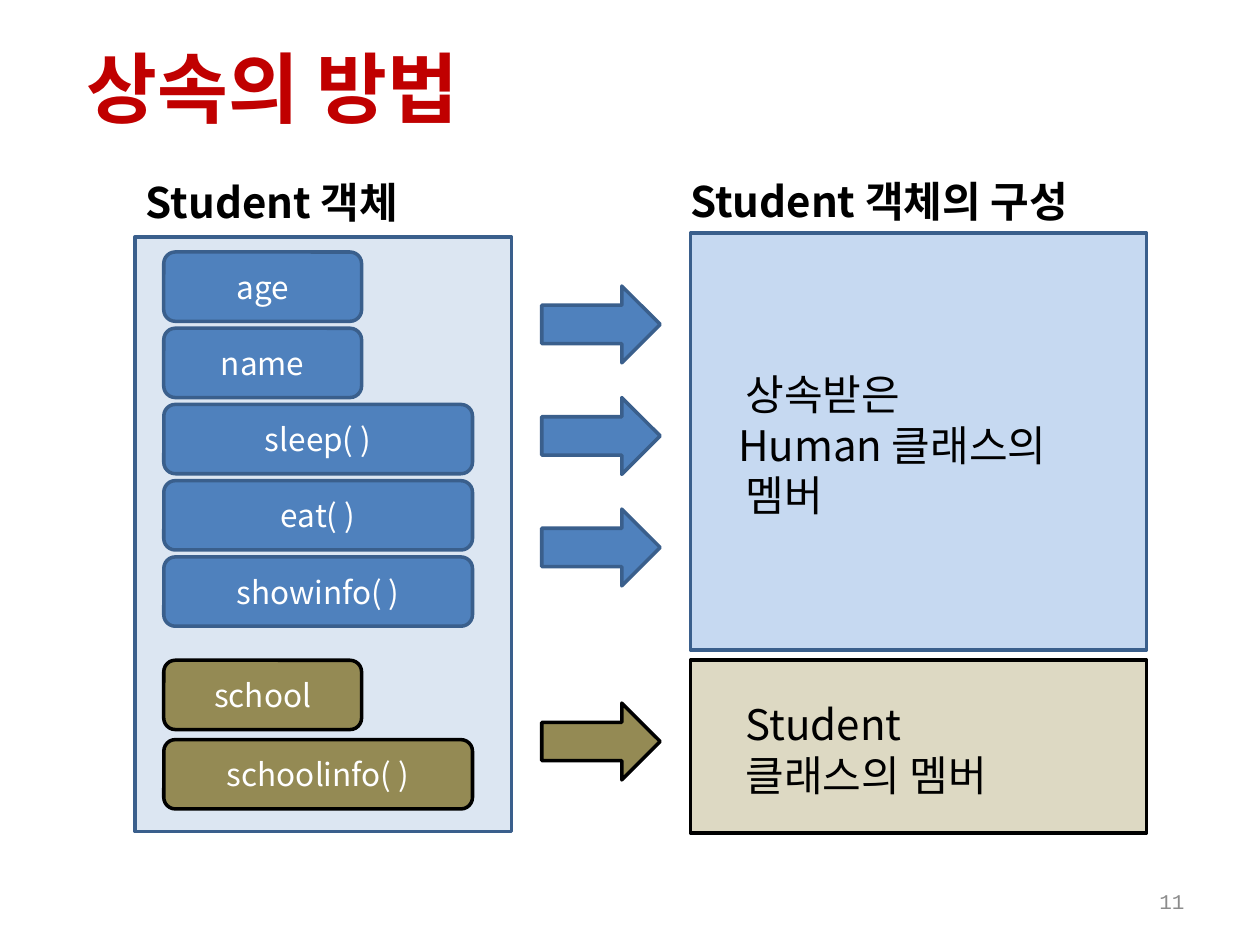
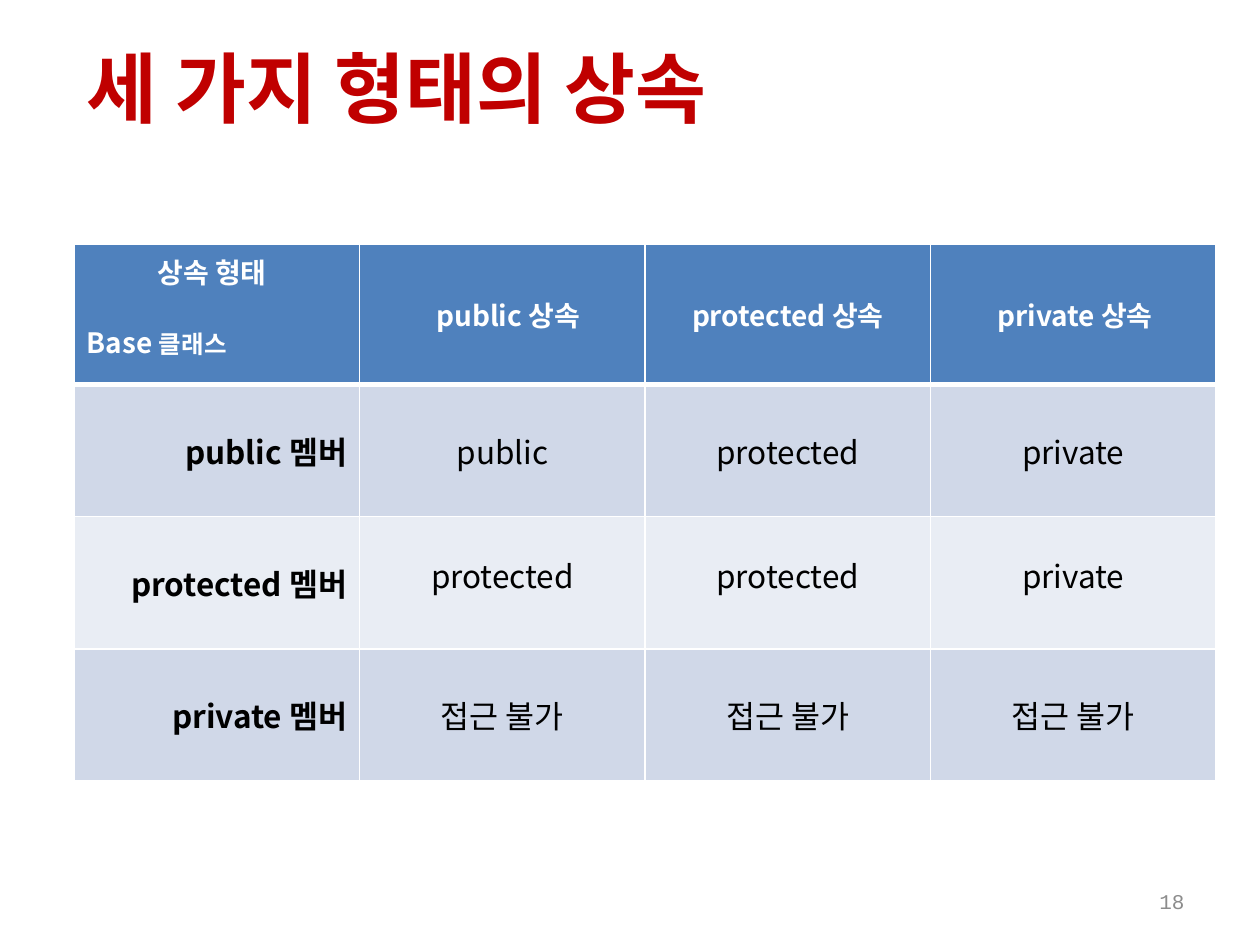
from typing import NamedTuple

import lxml.etree
import pptx
import pptx.dml.color
import pptx.enum.shapes
import pptx.enum.text
import pptx.oxml.ns
import pptx.util

# Shared look
FONT, NUMBER_FONT = "Noto Sans CJK KR", "Courier New"
RED, GREY, BLACK, WHITE = "C00000", "8C8C8C", "000000", "FFFFFF"
BLUE, NAVY, PALE_BLUE, SKY = "4F81BD", "3A5F8C", "DCE6F2", "C6D9F1"
OLIVE, SAND = "948A54", "DDD9C3"
STRIPES = ("D0D8E8", "E9EDF4")
SHAPE = pptx.enum.shapes.MSO_SHAPE
ALIGN = pptx.enum.text.PP_ALIGN
ANCHOR = pptx.enum.text.MSO_ANCHOR
Pt, Inches = pptx.util.Pt, pptx.util.Inches

# Grid of 100 columns by 75 rows
SLIDE_WIDTH, SLIDE_HEIGHT = Inches(10), Inches(7.5)
COLUMN, ROW = SLIDE_WIDTH / 100, SLIDE_HEIGHT / 75


class Area(NamedTuple):
    """A place on the grid, in columns and rows."""
    left: float
    top: float
    width: float
    height: float

    def lengths(self) -> tuple:
        return (round(self.left * COLUMN), round(self.top * ROW),
                round(self.width * COLUMN), round(self.height * ROW))


class Look(NamedTuple):
    fill: str
    line: str


class Style(NamedTuple):
    size: float
    color: str = BLACK
    bold: bool = False
    font: str = FONT


class Line(NamedTuple):
    """A line of a text block, with its indent in inches."""
    text: str
    indent: float = 0


class Member(NamedTuple):
    name: str
    width: float


INHERITED, OWN = Look(BLUE, NAVY), Look(OLIVE, BLACK)
TITLE, NUMBER = Style(44, RED, True), Style(12, GREY, font=NUMBER_FONT)
LABEL, BLOCK, MEMBER = Style(24, bold=True), Style(24), Style(18, WHITE)
HEADER, SMALL_HEADER = Style(16, WHITE, True), Style(14, WHITE, True)
ROW_NAME, VALUE = Style(18, bold=True), Style(18)
TIGHT = Pt(29)


def color(code: str) -> pptx.dml.color.RGBColor:
    return pptx.dml.color.RGBColor.from_string(code)


def add_run(para, text: str, style: Style) -> None:
    span = para.add_run()
    span.text = text
    span.font.size, span.font.bold, span.font.name = Pt(style.size), style.bold, style.font
    span.font.color.rgb = color(style.color)
    for tag in ("a:ea", "a:cs"):
        face = lxml.etree.SubElement(span.font._element, pptx.oxml.ns.qn(tag))
        face.set("typeface", style.font)


def write(frame, lines: list[Line], style: Style, align=ALIGN.LEFT,
          anchor=ANCHOR.MIDDLE, spacing=None) -> None:
    frame.word_wrap = True
    frame.vertical_anchor = anchor
    for index, line in enumerate(lines):
        para = frame.add_paragraph() if index else frame.paragraphs[0]
        para.alignment = align
        if spacing:
            para.line_spacing = spacing
        if line.indent:
            para._p.get_or_add_pPr().set("marL", str(Inches(line.indent)))
        add_run(para, line.text, style)


def add_box(page, kind, area: Area, look: Look):
    box = page.shapes.add_shape(kind, *area.lengths())
    box.shadow.inherit = False
    box.fill.solid()
    box.fill.fore_color.rgb = color(look.fill)
    box.line.color.rgb = color(look.line)
    box.line.width = Pt(2)
    return box


def add_block(page, area: Area, look: Look, lines: list[Line]) -> None:
    box = add_box(page, SHAPE.RECTANGLE, area, look)
    box.text_frame.margin_top = Inches(0.09)
    write(box.text_frame, lines, BLOCK, spacing=TIGHT)


def add_label(page, area: Area, text: str) -> None:
    frame = page.shapes.add_textbox(*area.lengths()).text_frame
    frame.margin_top = Inches(0.08)
    write(frame, [Line(text)], LABEL, anchor=ANCHOR.TOP, spacing=TIGHT)


def add_members(page, members: list[Member], top: float, step: float, look: Look) -> None:
    for index, member in enumerate(members):
        area = Area(13, top + index * step, member.width, 5.5)
        box = add_box(page, SHAPE.ROUNDED_RECTANGLE, area, look)
        write(box.text_frame, [Line(member.name)], MEMBER, ALIGN.CENTER)


def add_page(deck, title: str, number: str):
    page = deck.slides.add_slide(deck.slide_layouts.get_by_name("Title Only"))
    heading = page.shapes.title
    heading.left, heading.top, heading.width, heading.height = Area(5.9, 0.6, 98.4, 12.5).lengths()
    heading.text_frame.auto_size = pptx.enum.text.MSO_AUTO_SIZE.NONE
    write(heading.text_frame, [Line(title)], TITLE)
    footer = page.shapes.add_textbox(*Area(71.7, 69.5, 23.3, 4).lengths())
    write(footer.text_frame, [Line(number)], NUMBER, ALIGN.RIGHT)
    return page


def finish_cell(cell, fill: str, top: float, bottom: float) -> None:
    """Fill a cell and give it white borders, widths in points."""
    cell.fill.solid()
    cell.fill.fore_color.rgb = color(fill)
    properties = cell._tc.get_or_add_tcPr()
    widths = {"a:lnL": 1, "a:lnR": 1, "a:lnT": top, "a:lnB": bottom}
    for index, (tag, width) in enumerate(widths.items()):
        border = lxml.etree.Element(pptx.oxml.ns.qn(tag), w=str(Pt(width)))
        solid = lxml.etree.SubElement(border, pptx.oxml.ns.qn("a:solidFill"))
        lxml.etree.SubElement(solid, pptx.oxml.ns.qn("a:srgbClr"), val=WHITE)
        properties.insert(index, border)


def build_method_page(deck) -> None:
    page = add_page(deck, "상속의 방법", "11")

    # Student object and its members
    add_box(page, SHAPE.RECTANGLE, Area(10.7, 18.8, 29.9, 47.2), Look(PALE_BLUE, NAVY))
    short, long = 15.7, 24.5
    add_members(page, [Member("age", short), Member("name", short), Member("sleep( )", long),
                       Member("eat( )", long), Member("showinfo( )", long)], 20, 6.05, INHERITED)
    add_members(page, [Member("school", short), Member("schoolinfo( )", long)], 52.4, 6.3, OWN)
    add_label(page, Area(10.6, 13.2, 34.6, 5), "Student 객체")

    # Parts of the object
    add_block(page, Area(54.8, 18.5, 36.2, 33.1), Look(SKY, NAVY),
              [Line("상속받은", 0.34), Line("Human 클래스의", 0.28), Line("멤버", 0.34)])
    add_block(page, Area(54.8, 52.4, 36.2, 13.7), Look(SAND, BLACK),
              [Line("Student", 0.34), Line("클래스의 멤버", 0.34)])
    add_label(page, Area(53.8, 13.1, 34.6, 5), "Student 객체의 구성")

    # Arrows from members to parts
    arrows = [(22.7 + 8.85 * index, INHERITED) for index in range(3)] + [(55.8, OWN)]
    for top, look in arrows:
        add_box(page, SHAPE.RIGHT_ARROW, Area(43, top, 9.4, 6.1), look)


def build_forms_page(deck) -> None:
    page = add_page(deck, "세 가지 형태의 상속", "18")
    table = page.shapes.add_table(4, 4, *Area(5.9, 19.4, 90.6, 42.6).lengths()).table
    for column in table.columns:
        column.width = round(22.65 * COLUMN)
    for index, row in enumerate(table.rows):
        row.height = round((10.5 if index else 11.1) * ROW)

    # Header row
    corner = table.cell(0, 0)
    write(corner.text_frame, [Line("상속 형태", 0.56), Line("Base ")], HEADER, anchor=ANCHOR.TOP)
    base = corner.text_frame.paragraphs[1]
    base.space_before = Pt(17)
    add_run(base, "클래스", SMALL_HEADER)
    forms = [Line("public 상속", 0.09), Line("protected 상속"), Line("private 상속", 0.03)]
    for index, form in enumerate(forms, 1):
        cell = table.cell(0, index)
        write(cell.text_frame, [form], HEADER, ALIGN.CENTER)
        cell.vertical_anchor = ANCHOR.MIDDLE

    # Access that results for each kind of member
    access = {
        "public 멤버": ["public", "protected", "private"],
        "protected 멤버": ["protected", "protected", "private"],
        "private 멤버": ["접근 불가"] * 3,
    }
    for row, (name, values) in enumerate(access.items(), 1):
        for column, text in enumerate([name, *values]):
            cell = table.cell(row, column)
            style, align = (VALUE, ALIGN.CENTER) if column else (ROW_NAME, ALIGN.RIGHT)
            write(cell.text_frame, [Line(text)], style, align)
            cell.vertical_anchor = ANCHOR.MIDDLE
            if row == 2 and column:
                cell.margin_bottom = Inches(0.18)

    # Fills and borders
    for row in range(4):
        for column in range(4):
            fill = STRIPES[(row - 1) % 2] if row else BLUE
            finish_cell(table.cell(row, column), fill,
                        top=3 if row == 1 else 1, bottom=1 if row else 3)


def main() -> None:
    deck = pptx.Presentation()
    deck.slide_width, deck.slide_height = SLIDE_WIDTH, SLIDE_HEIGHT
    build_method_page(deck)
    build_forms_page(deck)
    deck.save("out.pptx")


if __name__ == "__main__":
    main()
